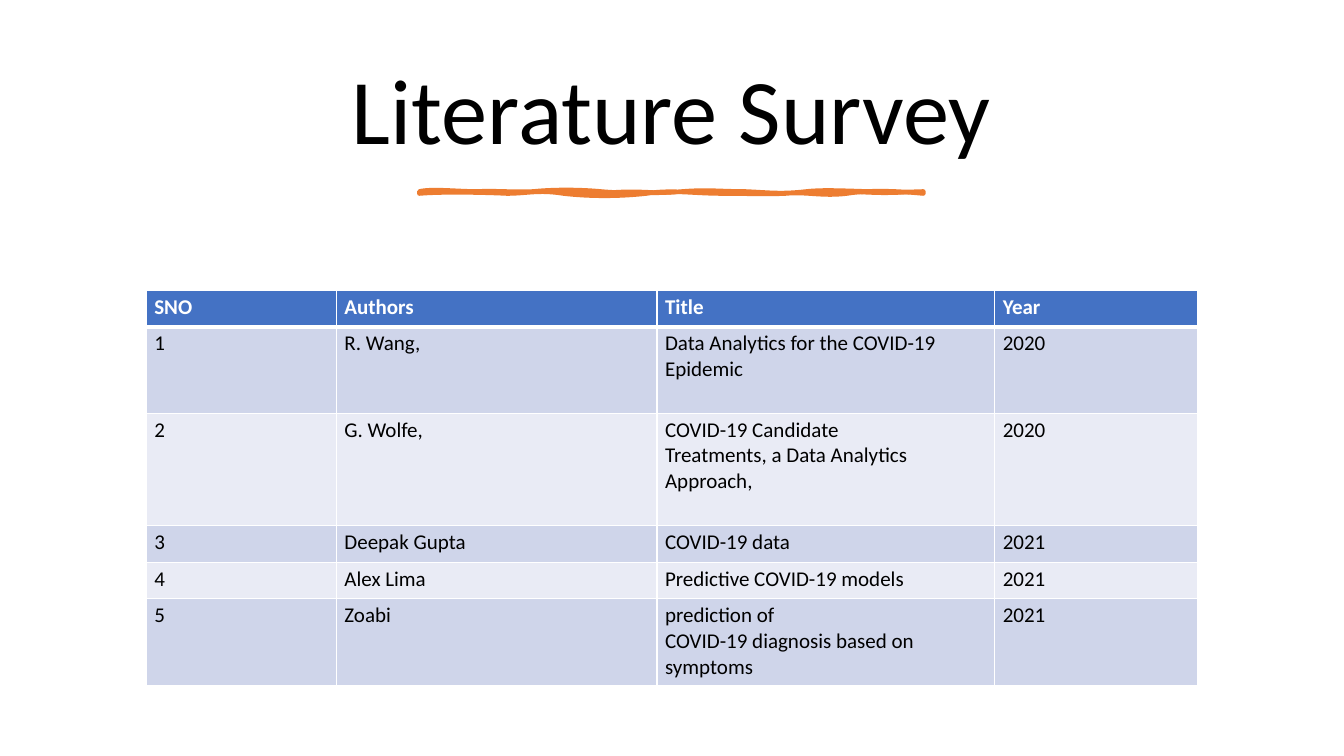
from lxml.etree import SubElement
from pptx import Presentation
from pptx.dml.color import RGBColor
from pptx.enum.text import MSO_ANCHOR, PP_ALIGN
from pptx.oxml.ns import qn
from pptx.util import Inches, Pt

BLACK = RGBColor(0x00, 0x00, 0x00)
WHITE = RGBColor(0xFF, 0xFF, 0xFF)
ORANGE = RGBColor(0xED, 0x7D, 0x31)
BLUE = RGBColor(0x44, 0x72, 0xC4)
BAND_DARK = RGBColor(0xCF, 0xD5, 0xEA)
BAND_LIGHT = RGBColor(0xE9, 0xEB, 0xF5)

SURVEY = [
    ("SNO", "Authors", "Title", "Year"),
    ("1", "R. Wang,", "Data Analytics for the COVID-19\nEpidemic", "2020"),
    ("2", "G. Wolfe,",
     "COVID-19 Candidate\nTreatments, a Data Analytics Approach,", "2020"),
    ("3", "Deepak Gupta", "COVID-19 data", "2021"),
    ("4", "Alex Lima", "Predictive COVID-19 models", "2021"),
    ("5", "Zoabi", "prediction of\nCOVID-19 diagnosis based on symptoms", "2021"),
]
COLUMN_WIDTHS = [14.15, 23.86, 25.13, 15.08]
ROW_HEIGHTS = [4.85, 11.42, 14.85, 4.85, 4.85, 11.45]
HEADER_BORDERS = {"a:lnL": 1, "a:lnR": 1, "a:lnT": 1, "a:lnB": 3}

# Each line is one Bezier curve: two control points and the end point,
# in five-hundredths of the brush stroke's width.
BRUSH_SPAN, BRUSH_DEPTH = 500, 2
BRUSH_EDGE = [
    (12, -3, 38, 0, 57, 0), (76, -1, 93, 1, 113, 0),
    (133, -2, 158, -2, 180, 0), (201, 2, 237, 2, 261, 0),
    (286, -2, 298, 0, 323, 0), (347, 1, 358, 3, 384, 0),
    (410, -3, 451, 2, 500, 0), (501, 1, 500, 1, 500, 2),
    (479, 0, 449, -2, 424, 2), (399, 5, 385, 0, 363, 2),
    (340, 3, 331, 2, 301, 2), (271, 2, 251, -2, 225, 2),
    (198, 5, 169, 5, 143, 2), (118, -2, 107, 2, 87, 2),
    (67, 1, 22, 0, 0, 2), (0, 1, 0, 0, 0, 0),
]
BRUSH_BODY = [
    (16, -1, 36, -2, 62, 0), (87, 1, 92, 2, 118, 0),
    (144, -2, 158, 2, 180, 0), (202, -3, 223, -2, 251, 0),
    (279, 1, 308, -3, 328, 0), (347, 2, 386, -2, 409, 0),
    (432, 1, 456, 3, 500, 0), (500, 0, 500, 1, 500, 2),
    (463, 4, 460, 4, 424, 2), (388, -1, 380, 1, 343, 2),
    (305, 2, 300, -2, 261, 2), (223, 6, 221, 0, 205, 2),
    (188, 3, 156, 3, 128, 2), (101, 0, 88, 1, 62, 2),
    (36, 2, 25, -1, 0, 2), (0, 1, 0, 0, 0, 0),
]


def add_curved_path(path_list, curves, **paint):
    """Add a closed chain of Bezier curves that starts at (0, 0)."""
    path = SubElement(path_list, qn("a:path"),
                      w=str(BRUSH_SPAN), h=str(BRUSH_DEPTH), **paint)
    SubElement(SubElement(path, qn("a:moveTo")), qn("a:pt"), x="0", y="0")
    for curve in curves:
        segment = SubElement(path, qn("a:cubicBezTo"))
        for x, y in zip(curve[::2], curve[1::2]):
            SubElement(segment, qn("a:pt"), x=str(x), y=str(y))
    SubElement(path, qn("a:close"))


def add_header_borders(cell):
    properties = cell._tc.get_or_add_tcPr()
    for side, points in HEADER_BORDERS.items():
        border = SubElement(properties, qn(side), w=str(Pt(points)))
        fill = SubElement(border, qn("a:solidFill"))
        SubElement(fill, qn("a:srgbClr"), val=str(WHITE))


class SlideWriter:
    """Places elements on a grid of 100 columns by 100 rows."""

    font_name = "Calibri"

    def __init__(self, deck):
        self.deck = deck
        self.page = deck.slides.add_slide(deck.slide_layouts[6])

    def columns(self, count):
        return round(self.deck.slide_width * count / 100)

    def rows(self, count):
        return round(self.deck.slide_height * count / 100)

    def area(self, left, top, width, height):
        return self.columns(left), self.rows(top), self.columns(width), self.rows(height)

    def style(self, para, size, color, bold=False):
        para.font.name = self.font_name
        para.font.size = Pt(size)
        para.font.color.rgb = color
        para.font.bold = bold

    def title(self, text, area):
        frame = self.page.shapes.add_textbox(*self.area(*area)).text_frame
        frame.word_wrap = True
        frame.vertical_anchor = MSO_ANCHOR.MIDDLE
        para = frame.paragraphs[0]
        para.text = text
        para.alignment = PP_ALIGN.CENTER
        para.line_spacing = 0.9
        self.style(para, 66, BLACK)

    def brush_stroke(self, left, top, width):
        unit = self.columns(width) / BRUSH_SPAN
        builder = self.page.shapes.build_freeform(0, 0, scale=unit)
        builder.add_line_segments(
            [(BRUSH_SPAN, 0), (BRUSH_SPAN, BRUSH_DEPTH), (0, BRUSH_DEPTH)])
        stroke = builder.convert_to_shape(self.columns(left), self.rows(top))
        path_list = stroke.element.spPr.find(".//" + qn("a:pathLst"))
        path_list.remove(path_list[0])
        add_curved_path(path_list, BRUSH_EDGE, fill="none")
        add_curved_path(path_list, BRUSH_BODY, stroke="0")
        stroke.shadow.inherit = False
        stroke.fill.solid()
        stroke.fill.fore_color.rgb = ORANGE
        stroke.line.color.rgb = ORANGE
        stroke.line.width = Pt(3.25)
        SubElement(stroke.element.spPr.find(qn("a:ln")), qn("a:round"))

    def table(self, records, left, top, widths, heights):
        area = self.area(left, top, sum(widths), sum(heights))
        table = self.page.shapes.add_table(len(heights), len(widths), *area).table
        for column, width in zip(table.columns, widths):
            column.width = self.columns(width)
        for index, (row, height, record) in enumerate(zip(table.rows, heights, records)):
            row.height = self.rows(height)
            header = index == 0
            band = BLUE if header else BAND_DARK if index % 2 else BAND_LIGHT
            for cell, text in zip(row.cells, record):
                if header:
                    add_header_borders(cell)
                cell.fill.solid()
                cell.fill.fore_color.rgb = band
                cell.margin_left = cell.margin_right = self.columns(0.6)
                cell.margin_top = cell.margin_bottom = self.rows(0.53)
                cell.text = text
                for para in cell.text_frame.paragraphs:
                    self.style(para, 15, WHITE if header else BLACK, header)


def main():
    deck = Presentation()
    deck.slide_width, deck.slide_height = Inches(13.33), Inches(7.5)
    writer = SlideWriter(deck)
    writer.title("Literature Survey", (5.22, 6.07, 89.5, 18.27))
    writer.brush_stroke(31.2, 25.33, 37.5)
    writer.table(SURVEY, 10.88, 38.4, COLUMN_WIDTHS, ROW_HEIGHTS)
    deck.save("out.pptx")


if __name__ == "__main__":
    main()
